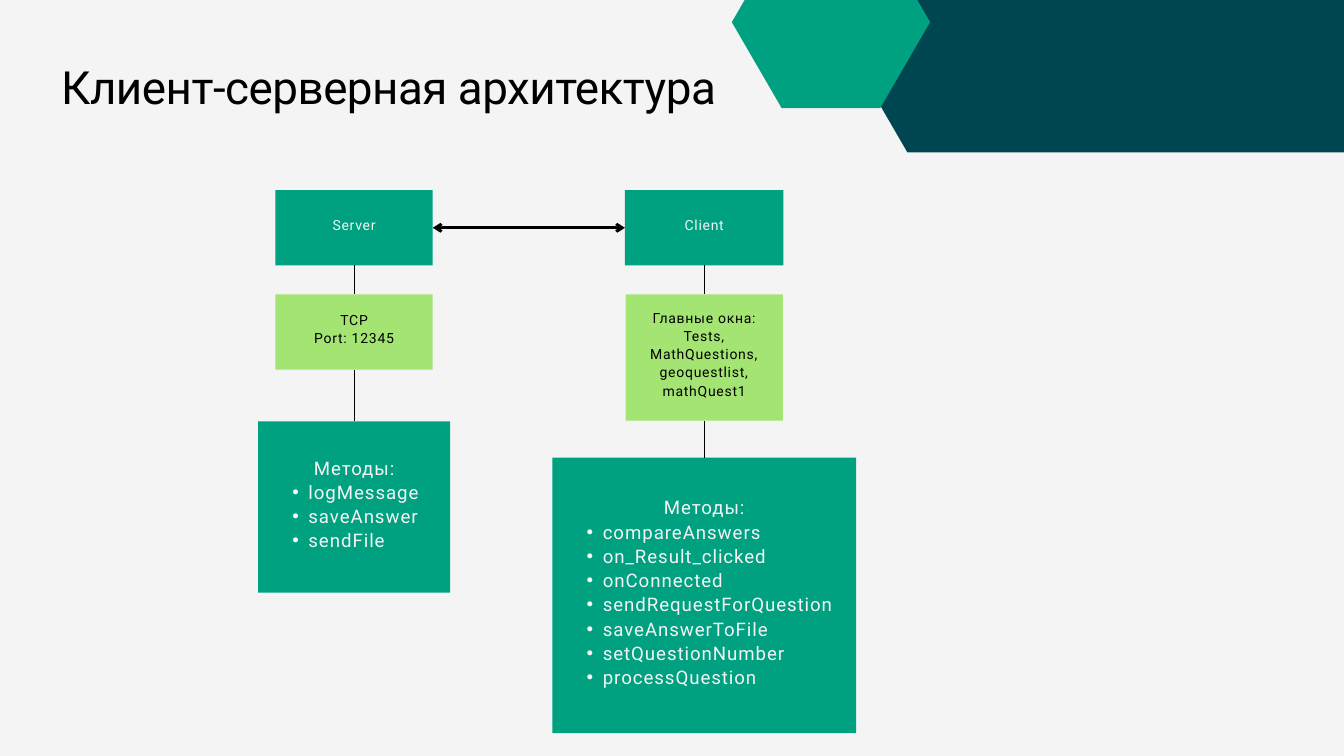
from lxml.etree import SubElement
from pptx import Presentation
from pptx.dml.color import RGBColor
from pptx.enum.shapes import MSO_CONNECTOR, MSO_SHAPE
from pptx.enum.text import MSO_ANCHOR, MSO_AUTO_SIZE, PP_ALIGN
from pptx.oxml.ns import qn
from pptx.util import Inches, Pt

# The page is a grid of square cells, 200 columns by 112.5 rows
CELL = 0.1
PAGE_COLUMNS, PAGE_ROWS = 200, 112.5

GREEN, LIME, TEAL = "00A181", "A4E473", "004651"
BLACK, PALE = "000000", "F4F4F4"
FONT = "Roboto"
TOP, LEFT, BOTTOM, RIGHT = range(4)

# Text styles: size, line pitch and letter spacing in points
TITLE = {"size": 49, "pitch": 63.7, "spacing": -0.5, "color": BLACK}
LABEL = {"size": 15, "pitch": 19.5, "spacing": 0.8, "color": PALE}
DARK_LABEL = {**LABEL, "color": BLACK}
METHODS = {"size": 20, "pitch": 26, "spacing": 1, "color": PALE}


def cells(count):
    return Inches(count * CELL)


def rgb(color):
    return RGBColor.from_string(color)


def paint(fill, color):
    fill.solid()
    fill.fore_color.rgb = rgb(color)


def set_values(target, values):
    for name, value in values.items():
        setattr(target, name, value)


def add_bullet(para):
    properties = para._p.get_or_add_pPr()
    properties.set("marL", str(cells(4.7)))
    properties.set("indent", str(cells(-2.4)))
    SubElement(properties, qn("a:buFont"), typeface="Arial")
    SubElement(properties, qn("a:buChar"), char="•")


def write(para, text, style, alignment):
    set_values(para, {"alignment": alignment, "line_spacing": Pt(style["pitch"])})
    span = para.add_run()
    span.text = text
    set_values(span.font, {"name": FONT, "size": Pt(style["size"])})
    span.font.color.rgb = rgb(style["color"])
    span.font._element.set("spc", str(round(style["spacing"] * 100)))


def add_shape(page, kind, box, color):
    shape = page.shapes.add_shape(kind, *map(cells, box))
    shape.shadow.inherit = False
    paint(shape.fill, color)
    shape.line.fill.background()
    return shape


def add_title(page, box, text):
    title = page.shapes.title
    set_values(title, dict(zip(("left", "top", "width", "height"), map(cells, box))))
    frame = title.text_frame
    set_values(frame, {
        "margin_left": 0, "margin_right": 0, "margin_top": 0, "margin_bottom": 0,
        "vertical_anchor": MSO_ANCHOR.TOP, "word_wrap": True,
        "auto_size": MSO_AUTO_SIZE.NONE,
    })
    write(frame.paragraphs[0], text, TITLE, PP_ALIGN.LEFT)


def add_hexagon(page, box, color):
    hexagon = add_shape(page, MSO_SHAPE.HEXAGON, box, color)
    hexagon.adjustments[0] = 0.29


def add_node(page, box, color, style, lines, bullets):
    node = add_shape(page, MSO_SHAPE.RECTANGLE, box, color)
    frame = node.text_frame
    # The deeper bottom margin lifts the text slightly above the middle
    set_values(frame, {
        "margin_left": cells(2.8), "margin_right": cells(2.8),
        "margin_top": cells(1), "margin_bottom": cells(2.2),
        "vertical_anchor": MSO_ANCHOR.MIDDLE, "word_wrap": True,
    })
    for index, text in enumerate(lines + bullets):
        para = frame.add_paragraph() if index else frame.paragraphs[0]
        bulleted = index >= len(lines)
        write(para, text, style, PP_ALIGN.LEFT if bulleted else PP_ALIGN.CENTER)
        if bulleted:
            add_bullet(para)
    return node


def join(page, start, start_side, end, end_side, weight, arrows=False):
    link = page.shapes.add_connector(MSO_CONNECTOR.STRAIGHT, 0, 0, 0, 0)
    link.begin_connect(start, start_side)
    link.end_connect(end, end_side)
    link.line.width = Pt(weight)
    paint(link.line.fill, BLACK)
    SubElement(link._element.spPr, qn("a:effectLst"))
    if arrows:
        outline = link.line._get_or_add_ln()
        for name in ("a:headEnd", "a:tailEnd"):
            SubElement(outline, qn(name), type="arrow")


def add_column(page, center, top, nodes):
    """Stack nodes below each other around one axis and return the first."""
    placed = []
    for gap, width, height, *content in nodes:
        top += gap
        node = add_node(page, (center - width / 2, top, width, height), *content)
        if placed:
            join(page, placed[-1], BOTTOM, node, TOP, 0.75)
        placed.append(node)
        top += height
    return placed[0]


# Nodes: gap above, width, height, colour, style, lines, bullets
SERVER_NODES = [
    (0, 23.4, 11.2, GREEN, LABEL, ["Server"], []),
    (4.3, 23.4, 11.2, LIME, DARK_LABEL, ["TCP", "Port: 12345"], []),
    (7.7, 28.6, 25.5, GREEN, METHODS, ["Методы:"],
     ["logMessage", "saveAnswer", "sendFile"]),
]
CLIENT_NODES = [
    (0, 23.6, 11.2, GREEN, LABEL, ["Client"], []),
    (4.3, 23.4, 18.8, LIME, DARK_LABEL,
     ["Главные окна:", "Tests, MathQuestions, geoquestlist, mathQuest1"], []),
    (5.5, 45.2, 41, GREEN, METHODS, ["Методы:"],
     ["compareAnswers", "on_Result_clicked", "onConnected",
      "sendRequestForQuestion", "saveAnswerToFile", "setQuestionNumber",
      "processQuestion"]),
]


def main():
    deck = Presentation()
    deck.slide_width, deck.slide_height = cells(PAGE_COLUMNS), cells(PAGE_ROWS)
    page = deck.slides.add_slide(deck.slide_layouts[5])
    paint(page.background.fill, PALE)

    # Heading and corner decoration
    add_title(page, (9.1, 8, 99.8, 8.7), "Клиент-серверная архитектура")
    add_hexagon(page, (115.3, -45.4, 107.4, 68.1), TEAL)
    add_hexagon(page, (108.9, -9.5, 29.5, 25.6), GREEN)

    # Server and client columns with the link between them
    server = add_column(page, 52.7, 28.3, SERVER_NODES)
    client = add_column(page, 104.8, 28.3, CLIENT_NODES)
    join(page, server, RIGHT, client, LEFT, 3, arrows=True)

    deck.save("out.pptx")


if __name__ == "__main__":
    main()
